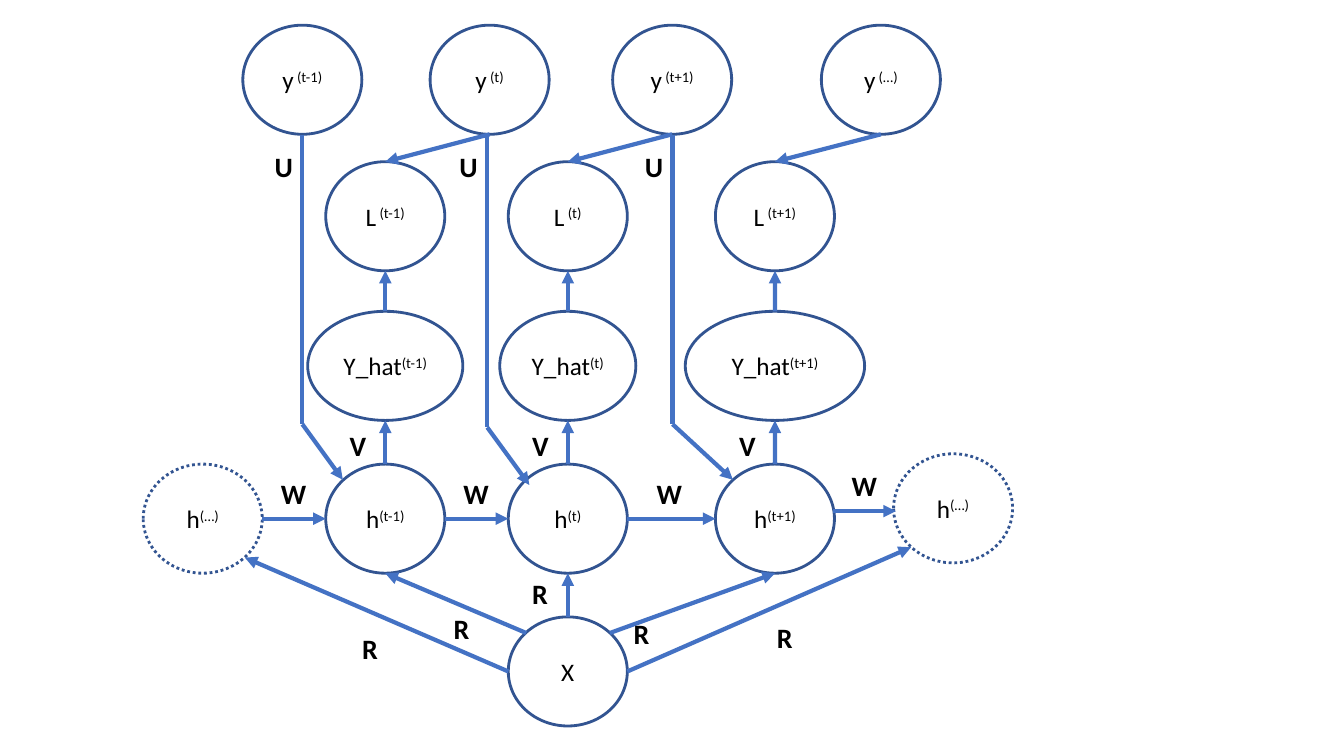
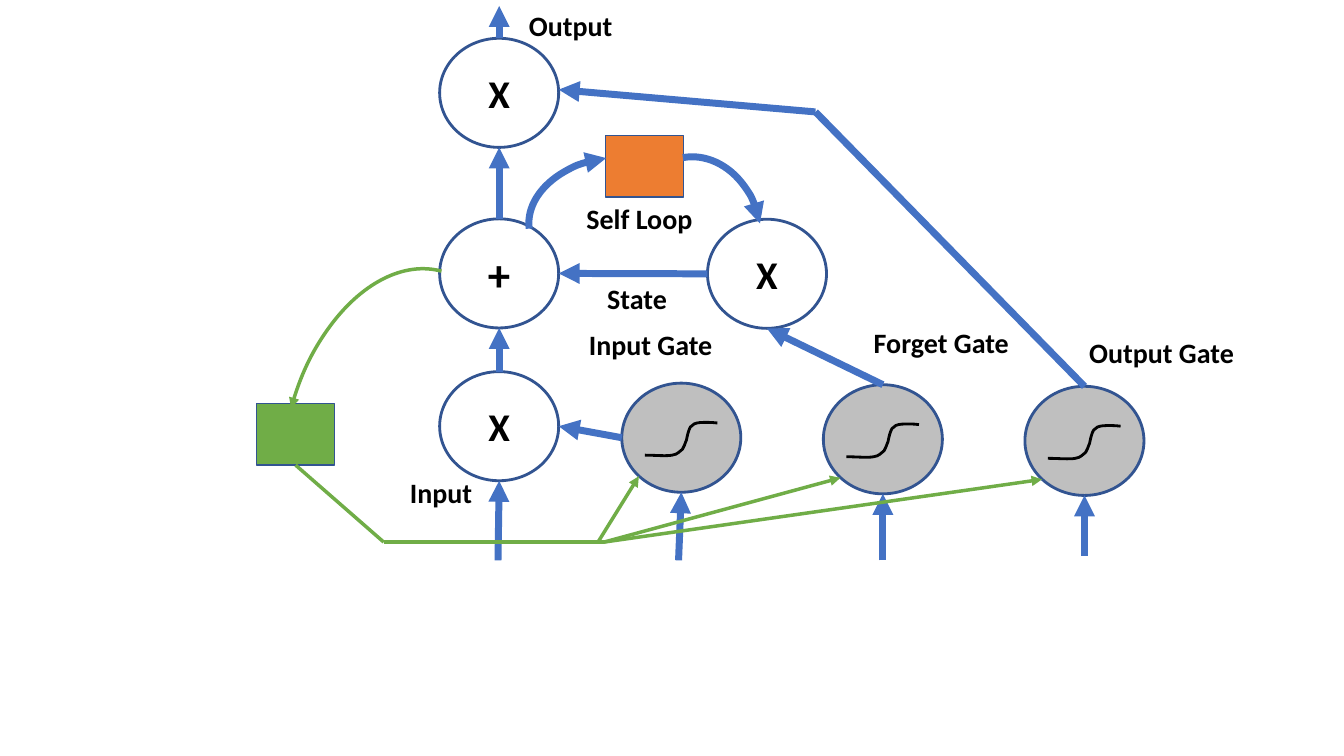
from dataclasses import dataclass
from typing import NamedTuple

from lxml import etree
from pptx import Presentation
from pptx.dml.color import RGBColor
from pptx.enum.dml import MSO_LINE
from pptx.enum.shapes import MSO_CONNECTOR, MSO_SHAPE
from pptx.enum.text import MSO_ANCHOR, MSO_AUTO_SIZE, PP_ALIGN
from pptx.oxml.ns import qn
from pptx.util import Cm, Pt

ELLIPSE, RECTANGLE, ARC = MSO_SHAPE.OVAL, MSO_SHAPE.RECTANGLE, MSO_SHAPE.ARC
STRAIGHT = MSO_CONNECTOR.STRAIGHT
DOTTED = MSO_LINE.ROUND_DOT
MIDDLE = MSO_ANCHOR.MIDDLE
LEFT_ALIGN, CENTER = PP_ALIGN.LEFT, PP_ALIGN.CENTER
FIT_SHAPE = MSO_AUTO_SIZE.SHAPE_TO_FIT_TEXT
TOP, LEFT, BOTTOM, RIGHT = range(4)

OUTLINE = RGBColor(0x32, 0x54, 0x91)
BLUE = RGBColor(0x44, 0x72, 0xC4)
GREEN = RGBColor(0x70, 0xAD, 0x47)
ORANGE = RGBColor(0xED, 0x7D, 0x31)
GRAY = RGBColor(0xBF, 0xBF, 0xBF)
BLACK = RGBColor(0, 0, 0)

FONT = "Calibri"
NODE_WIDTH, NODE_HEIGHT = 3.0, 2.75
LABEL_HEIGHT = 1.12

SIGMOID_START = (-0.92, 0.44)
SIGMOID_CURVES = (
    ((-0.66, 0.44), (-0.38, 0.47), (-0.23, 0.44)),
    ((-0.08, 0.42), (-0.05, 0.34), (0.03, 0.29)),
    ((0.08, 0.22), (0.08, 0.17), (0.13, 0.06)),
    ((0.15, -0.04), (0.18, -0.19), (0.23, -0.27)),
    ((0.28, -0.34), (0.36, -0.37), (0.46, -0.38)),
    ((0.58, -0.39), (0.76, -0.39), (0.91, -0.37)),
)


class Point(NamedTuple):
    x: float
    y: float


class Anchor(NamedTuple):
    shape: object
    side: int


@dataclass
class Node:
    x: float
    y: float
    text: str
    script: str = ""
    width: float = NODE_WIDTH
    size: int = 18
    bold: bool = False
    dotted: bool = False


@dataclass
class Label:
    text: str
    x: float
    y: float
    width: float = 1.2
    align: int = LEFT_ALIGN


@dataclass
class Arc:
    x: float
    y: float
    width: float
    height: float
    rotation: float
    color: RGBColor = BLUE
    weight: float = 5
    mirrored: bool = False


def style_span(span, size: int, bold: bool) -> None:
    span.font.name = FONT
    span.font.size = Pt(size)
    span.font.bold = bold
    span.font.color.rgb = BLACK


def add_arrowhead(item) -> None:
    outline = item.element.xpath(".//a:ln")[0]
    etree.SubElement(outline, qn("a:tailEnd"), type="triangle")


def add_outlined(shapes, kind, x: float, y: float, width: float, height: float,
                 fill=None, color=OUTLINE, weight: float = 2):
    shape = shapes.add_shape(kind, Cm(x), Cm(y), Cm(width), Cm(height))
    shape.shadow.inherit = False
    if fill is None:
        shape.fill.background()
    else:
        shape.fill.solid()
        shape.fill.fore_color.rgb = fill
    shape.line.color.rgb = color
    shape.line.width = Pt(weight)
    return shape


def add_ellipse(shapes, x: float, y: float, width: float = NODE_WIDTH, fill=None):
    return add_outlined(shapes, ELLIPSE, x - width / 2, y - NODE_HEIGHT / 2,
                        width, NODE_HEIGHT, fill)


def add_node(page, node: Node):
    shape = add_ellipse(page.shapes, node.x, node.y, node.width)
    if node.dotted:
        shape.line.dash_style = DOTTED
    shape.text_frame.vertical_anchor = MIDDLE
    para = shape.text_frame.paragraphs[0]
    para.text = node.text
    para.alignment = CENTER
    if node.script:
        para.add_run().text = node.script
    for span in para.runs:
        style_span(span, node.size, node.bold)
    for span in para.runs[1:]:
        span.font._element.set("baseline", "30000")
    return shape


def add_label(page, label: Label) -> None:
    box = page.shapes.add_textbox(Cm(label.x), Cm(label.y), Cm(label.width), Cm(LABEL_HEIGHT))
    box.text_frame.word_wrap = True
    box.text_frame.auto_size = FIT_SHAPE
    box.text_frame.text = label.text
    para = box.text_frame.paragraphs[0]
    para.alignment = label.align
    style_span(para.runs[0], 20, True)


def match_ellipse_site(connector, tag: str, anchor: Anchor) -> None:
    if anchor.shape.auto_shape_type == ELLIPSE:
        connector.element.xpath(f".//a:{tag}")[0].set("idx", str(2 * anchor.side))


def add_link(page, start, end, color=BLUE, weight: float = 3, arrow: bool = True) -> None:
    places = [Point(0, 0) if isinstance(place, Anchor) else place for place in (start, end)]
    ends = [Cm(value) for place in places for value in place]
    connector = page.shapes.add_connector(STRAIGHT, *ends)
    if isinstance(start, Anchor):
        connector.begin_connect(start.shape, start.side)
        match_ellipse_site(connector, "stCxn", start)
    if isinstance(end, Anchor):
        connector.end_connect(end.shape, end.side)
        match_ellipse_site(connector, "endCxn", end)
    connector.line.color.rgb = color
    connector.line.width = Pt(weight)
    if arrow:
        add_arrowhead(connector)
    etree.SubElement(connector.element.spPr, qn("a:effectLst"))


def add_arc(page, arc: Arc) -> None:
    shape = add_outlined(page.shapes, ARC, arc.x, arc.y, arc.width, arc.height,
                         color=arc.color, weight=arc.weight)
    shape.rotation = arc.rotation
    if arc.mirrored:
        shape.element.xpath(".//a:xfrm")[0].set("flipH", "1")
    add_arrowhead(shape)


def add_sigmoid(shapes, center: Point) -> None:
    def place(offset: tuple[float, float]) -> tuple[int, int]:
        return Cm(center.x + offset[0]), Cm(center.y + offset[1])

    builder = shapes.build_freeform(*place(SIGMOID_START))
    builder.add_line_segments([place(curve[-1]) for curve in SIGMOID_CURVES], close=False)
    shape = builder.convert_to_shape()
    for segment, curve in zip(shape.element.xpath(".//a:lnTo"), SIGMOID_CURVES):
        bezier = etree.Element(qn("a:cubicBezTo"))
        for x, y in map(place, curve):
            etree.SubElement(bezier, qn("a:pt"), x=str(x - shape.left), y=str(y - shape.top))
        segment.getparent().replace(segment, bezier)
    shape.shadow.inherit = False
    shape.fill.background()
    shape.line.color.rgb = BLACK
    shape.line.width = Pt(2)


def add_gate(page, center: Point):
    group = page.shapes.add_group_shape()
    gate = add_ellipse(group.shapes, center.x, center.y, fill=GRAY)
    add_sigmoid(group.shapes, center)
    return gate


def build_unrolled_network(page) -> None:
    target_y, loss_y, estimate_y, hidden_y, input_y = 2.01, 5.45, 9.22, 13.07, 16.92
    steps = ("(t-1)", "(t)", "(t+1)")
    columns = (9.71, 14.31, 19.53)
    target_columns = (7.62, 12.34, 16.94, 22.2)
    estimate_widths = (3.91, 3.43, 4.52)

    targets = [add_node(page, Node(x, target_y, "y", f" {step}"))
               for x, step in zip(target_columns, (*steps, "(…)"))]
    previous = add_node(page, Node(5.11, hidden_y, "h", "(…)", dotted=True))
    add_node(page, Node(24.02, 12.81, "h", "(…)", dotted=True))
    source = add_node(page, Node(columns[1], input_y, "X"))

    hidden = []
    for x, step, width, target in zip(columns, steps, estimate_widths, targets[1:]):
        loss = add_node(page, Node(x, loss_y, "L", f" {step}"))
        estimate = add_node(page, Node(x, estimate_y, "Y_hat", step, width))
        state = add_node(page, Node(x, hidden_y, "h", step))
        add_link(page, Anchor(target, BOTTOM), Anchor(loss, TOP))
        add_link(page, Anchor(estimate, TOP), Anchor(loss, BOTTOM))
        add_link(page, Anchor(state, TOP), Anchor(estimate, BOTTOM))
        add_label(page, Label("V", x - 1.15, 10.67))
        hidden.append(state)

    chain = [previous, *hidden]
    for left, right, label_x in zip(chain, hidden, (6.83, 11.43, 16.3)):
        add_link(page, Anchor(left, RIGHT), Anchor(right, LEFT))
        add_label(page, Label("W", label_x, 11.89))
    add_link(page, Point(20.98, 12.88), Point(22.58, 12.88))
    add_label(page, Label("W", 21.21, 11.68))

    bends = (Point(7.62, 10.69), Point(12.28, 10.77), Point(16.95, 10.69))
    tips = (Point(8.64, 12.09), Point(13.34, 12.22), Point(18.47, 12.09))
    for bend, tip in zip(bends, tips):
        add_link(page, Point(bend.x, 3.39), bend, arrow=False)
        add_link(page, bend, tip)
        add_label(page, Label("U", bend.x - 0.95, 3.64))

    add_link(page, Point(13.26, 15.95), Anchor(hidden[0], BOTTOM))
    add_link(page, Anchor(source, TOP), Anchor(hidden[1], BOTTOM))
    add_link(page, Point(15.37, 15.95), Anchor(hidden[2], BOTTOM))
    add_link(page, Anchor(source, RIGHT), Point(22.96, 13.79))
    add_link(page, Anchor(source, LEFT), Point(6.17, 14.05))
    for x, y in ((8.88, 15.8), (11.18, 15.29), (13.16, 14.4), (15.72, 15.42), (19.33, 15.52)):
        add_label(page, Label("R", x, y))


def build_memory_cell(page) -> None:
    cell_x = 12.58
    output = add_node(page, Node(cell_x, 2.34, "X", size=28, bold=True))
    total = add_node(page, Node(cell_x, 6.89, "+", size=32, bold=True))
    entry = add_node(page, Node(cell_x, 10.74, "X", size=28, bold=True))
    loop = add_node(page, Node(19.33, 6.9, "X", size=28, bold=True))
    add_outlined(page.shapes, RECTANGLE, 15.26, 3.42, 1.96, 1.55, ORANGE, weight=1)
    feedback = add_outlined(page.shapes, RECTANGLE, 6.47, 10.17, 1.96, 1.55, GREEN, weight=1)
    centers = [Point(17.17 + 5.08 * index, 11.03 + 0.04 * index) for index in range(3)]
    gates = [add_gate(page, center) for center in centers]
    input_gate, forget_gate, output_gate = gates

    bend = Point(20.55, 2.82)
    flows = [
        (Anchor(total, TOP), Anchor(output, BOTTOM)),
        (Anchor(entry, TOP), Anchor(total, BOTTOM)),
        (Anchor(loop, LEFT), Anchor(total, RIGHT)),
        (Anchor(input_gate, LEFT), Anchor(entry, RIGHT)),
        (Anchor(forget_gate, TOP), Anchor(loop, BOTTOM)),
        (bend, Point(14.08, 2.26)),
        (Anchor(output, TOP), Point(cell_x, 0.15)),
    ]
    feeds = (Point(12.55, 14.12), Point(17.1, 14.12), Point(22.25, 14.12), Point(27.33, 14))
    flows += [(feed, Anchor(shape, BOTTOM)) for feed, shape in zip(feeds, (entry, *gates))]
    for start, end in flows:
        add_link(page, start, end, weight=5)
    add_link(page, bend, Anchor(output_gate, TOP), weight=5, arrow=False)

    add_arc(page, Arc(13.94, 3.35, 3.05, 4.29, 262.9))
    add_arc(page, Arc(15.95, 3.94, 3.23, 3.96, 349.7))
    add_arc(page, Arc(7.24, 6.68, 5.49, 8.66, 15.3, GREEN, 2.5, mirrored=True))

    corner, hub = Point(9.67, 13.66), Point(15.22, 13.66)
    add_link(page, Anchor(feedback, BOTTOM), corner, GREEN, 2.5, arrow=False)
    add_link(page, corner, hub, GREEN, 2.5, arrow=False)
    for start_x, center in zip((15.07, hub.x, hub.x), centers):
        tip = Point(center.x - 1.07, center.y + 0.97)
        add_link(page, Point(start_x, hub.y), tip, GREEN, 2.5)

    for label in (
        Label("Output", 13.08, 0.08, 7.75),
        Label("Self Loop", 13.64, 4.95, 4.95, CENTER),
        Label("State", 13.58, 6.98, 4.95, CENTER),
        Label("Input", 10.08, 11.85, 2.36),
        Label("Input Gate", 14.59, 8.13, 7.75),
        Label("Forget Gate", 21.77, 8.08, 7.75),
        Label("Output Gate", 27.2, 8.33, 4.75),
    ):
        add_label(page, label)


def main() -> None:
    deck = Presentation()
    deck.slide_width, deck.slide_height = Cm(33.87), Cm(19.05)
    for build in (build_unrolled_network, build_memory_cell):
        build(deck.slides.add_slide(deck.slide_layouts[6]))
    deck.save("out.pptx")


if __name__ == "__main__":
    main()
